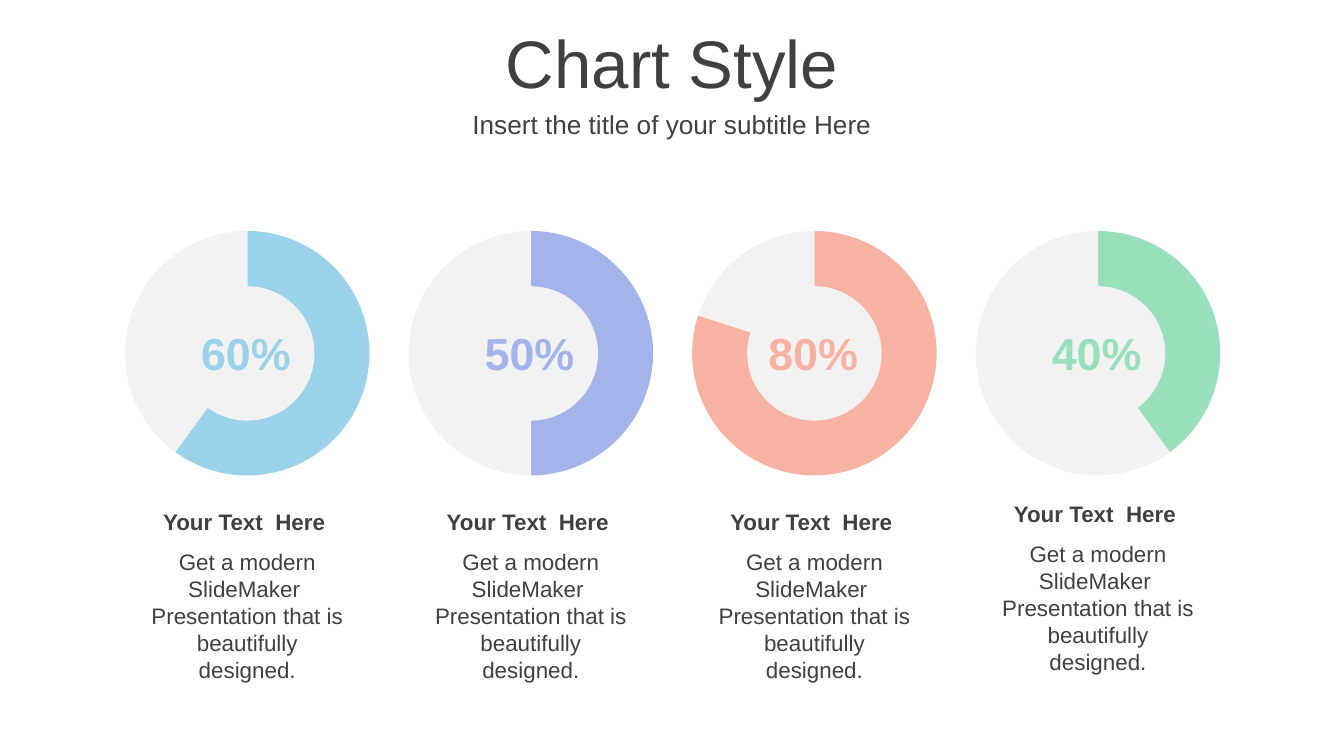
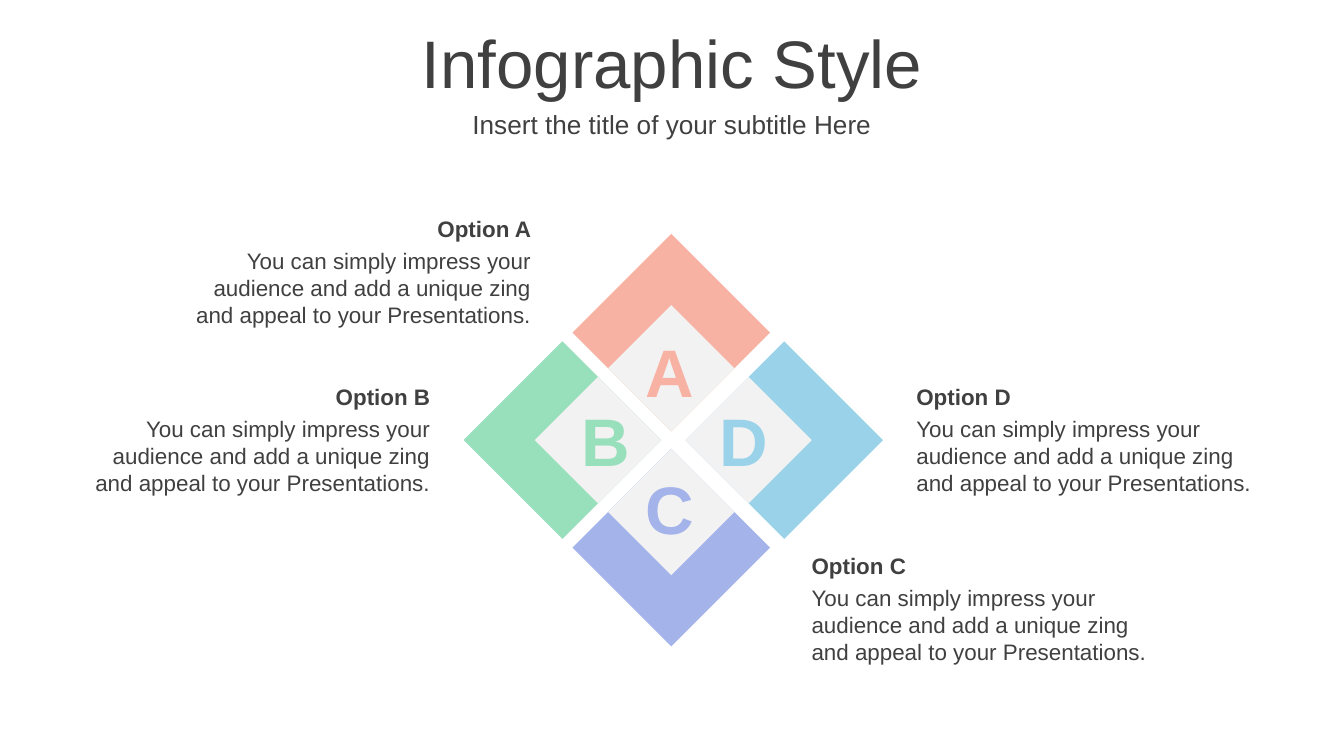
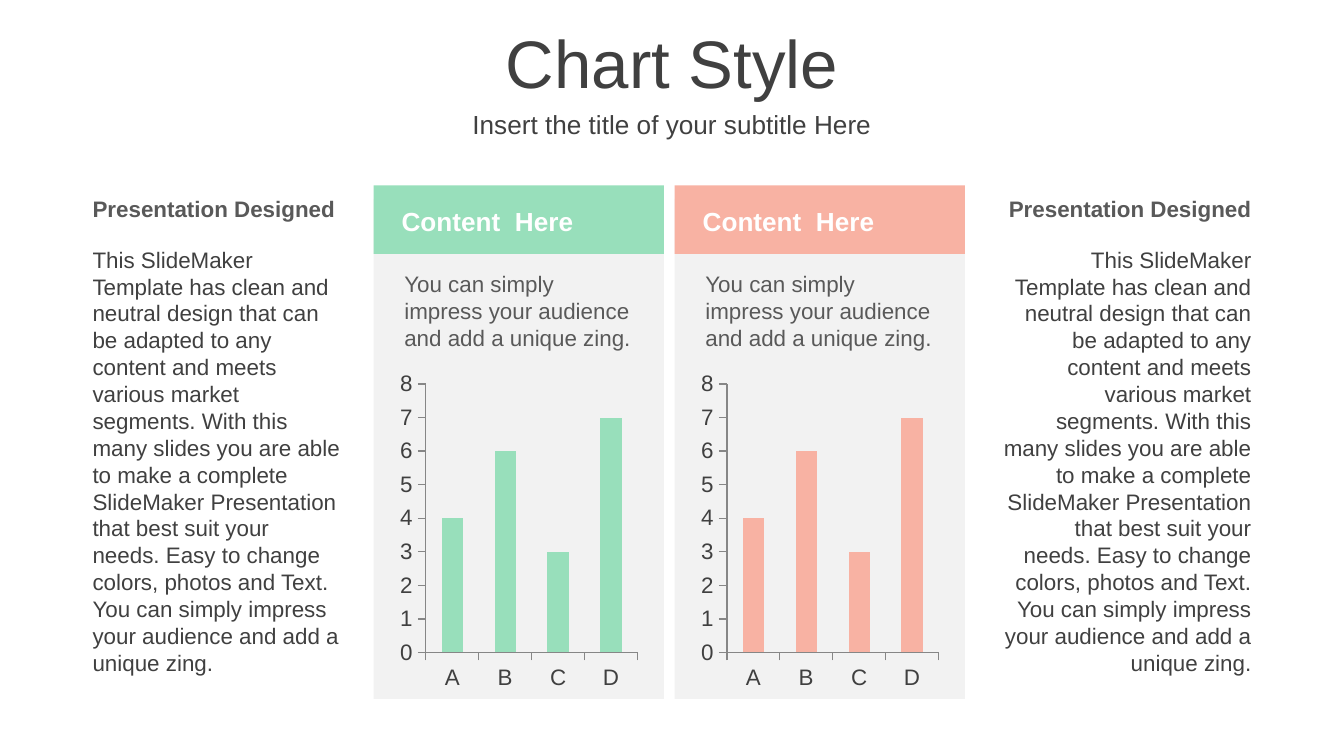
from dataclasses import dataclass

from pptx import Presentation
from pptx.chart.data import CategoryChartData
from pptx.dml.color import RGBColor
from pptx.enum import chart as ch, shapes as sh, text as tx
from pptx.oxml import parse_xml
from pptx.oxml.ns import nsdecls
from pptx.util import Inches, Pt

HUES = {
    "sky": "9AD3E9",
    "iris": "A4B4EA",
    "coral": "F8B2A3",
    "mint": "98DFBB",
    "pale": "F2F2F2",
    "ink": "404040",
    "slate": "595959",
    "axis": "868686",
    "white": "FFFFFF",
}
FONT = "Arial"
LEFT, MID, RIGHT = tx.PP_ALIGN.LEFT, tx.PP_ALIGN.CENTER, tx.PP_ALIGN.RIGHT
SUB = "Insert the title of your subtitle Here"
MODERN = "Get a modern SlideMaker  Presentation that is beautifully designed."
SIMPLY = "You can simply impress your audience and add a unique zing"
STORY = (
    "This SlideMaker Template has clean and neutral design that can be adapted "
    "to any content and meets various market segments. With this many slides you "
    "are able to make a complete SlideMaker Presentation that best suit your needs. "
    "Easy to change colors, photos and Text. " + SIMPLY + "."
)


@dataclass
class Box:
    x: float
    y: float
    w: float
    h: float

    def emu(self) -> tuple:
        return tuple(Inches(v) for v in (self.x, self.y, self.w, self.h))


@dataclass
class Style:
    size: float = 12
    hue: str = "ink"
    bold: bool = False
    align: tx.PP_ALIGN = LEFT
    lead: float = 1


@dataclass
class Ring:
    share: int
    hue: str
    note: float = 3.73


@dataclass
class Option:
    name: str
    hue: str
    dx: int
    dy: int
    gem: tuple
    mark: tuple
    note: tuple
    align: tx.PP_ALIGN


@dataclass
class Card:
    x: float
    hue: str


@dataclass
class Side:
    x: float
    align: tx.PP_ALIGN


RINGS = [
    Ring(60, "sky"),
    Ring(50, "iris"),
    Ring(80, "coral"),
    Ring(40, "mint", 3.67),
]
OPTIONS = [
    Option("A", "coral", 0, -1, (4.26, 1.74), (4.68, 2.41), (1.22, 1.55), RIGHT),
    Option("B", "mint", -1, 0, (3.45, 2.54), (4.2, 2.92), (0.47, 2.8), RIGHT),
    Option("C", "iris", 0, 1, (4.26, 3.34), (4.68, 3.43), (5.94, 4.06), LEFT),
    Option("D", "sky", 1, 0, (5.1, 2.54), (5.23, 2.92), (6.72, 2.8), LEFT),
]
CARDS = [Card(2.78, "mint"), Card(5.02, "coral")]
SIDES = [Side(0.59, LEFT), Side(7.36, RIGHT)]


def rgb(hue: str) -> RGBColor:
    return RGBColor.from_string(HUES[hue])


def write(frame, words: str, style: Style) -> None:
    para = frame.paragraphs[0]
    para.alignment = style.align
    para.line_spacing = style.lead
    run = para.add_run()
    run.text = words
    font = run.font
    font.name, font.size, font.bold = FONT, Pt(style.size), style.bold
    font.color.rgb = rgb(style.hue)


def label(home, box: Box, words: str, style: Style, anchor=tx.MSO_ANCHOR.TOP) -> None:
    frame = home.add_textbox(*box.emu()).text_frame
    frame.word_wrap = True
    frame.auto_size = tx.MSO_AUTO_SIZE.SHAPE_TO_FIT_TEXT
    frame.vertical_anchor = anchor
    write(frame, words, style)


def note(slide, box: Box, head: str, words: str, gap: float, align) -> None:
    """Group a bold heading with the text that starts gap inches below it."""
    home = slide.shapes.add_group_shape().shapes
    label(home, Box(box.x, box.y, box.w, 0.3), head, Style(bold=True, align=align))
    label(home, Box(box.x, box.y + gap, box.w, box.h), words, Style(align=align))


def solid(slide, kind, box: Box, hue: str) -> None:
    shape = slide.shapes.add_shape(kind, *box.emu())
    shape.shadow.inherit = False
    shape.fill.solid()
    shape.fill.fore_color.rgb = rgb(hue)
    shape.line.fill.background()


def start(deck, title: str):
    """Add a slide with the shared title and subtitle."""
    slide = deck.slides.add_slide(deck.slide_layouts[0])
    heads = [
        (slide.shapes.title, Box(0, 0.14, 10, 0.63), title, 36),
        (slide.placeholders[1], Box(0, 0.77, 10, 0.31), SUB, 14),
    ]
    for shape, box, words, size in heads:
        shape.left, shape.top, shape.width, shape.height = box.emu()
        frame = shape.text_frame
        frame.auto_size = tx.MSO_AUTO_SIZE.NONE
        frame.vertical_anchor = tx.MSO_ANCHOR.MIDDLE
        write(frame, words, Style(size, align=MID))
    return slide


def graph(slide, kind, box: Box, cats: list, vals: list):
    data = CategoryChartData()
    data.categories = cats
    data.add_series("Series 1", vals)
    chart = slide.shapes.add_chart(kind, *box.emu(), data).chart
    chart.has_title = chart.has_legend = False
    chart.font.name, chart.font.size = FONT, Pt(18)
    chart.plots[0].has_data_labels = False
    return chart


def paint(item, hue: str) -> None:
    item.format.fill.solid()
    item.format.fill.fore_color.rgb = rgb(hue)


def donut(slide, box: Box, ring: Ring) -> None:
    kind = ch.XL_CHART_TYPE.DOUGHNUT
    chart = graph(slide, kind, box, ["1", "2"], [ring.share, 100 - ring.share])
    for i, hue in enumerate((ring.hue, "pale")):
        paint(chart.plots[0].series[0].points[i], hue)
    root = chart.element
    root.xpath(".//c:holeSize")[0].set("val", "75")
    area = root.xpath(".//c:plotArea")[0]
    for old in area.xpath("./c:layout"):
        area.remove(old)
    area.insert(0, parse_xml(
        f'<c:layout {nsdecls("c")}><c:manualLayout><c:layoutTarget val="inner"/>'
        '<c:xMode val="edge"/><c:yMode val="edge"/><c:x val="0"/><c:y val="0.02"/>'
        '<c:w val="1"/><c:h val="0.97"/></c:manualLayout></c:layout>'
    ))


def bars(slide, box: Box, hue: str) -> None:
    kind = ch.XL_CHART_TYPE.COLUMN_STACKED
    chart = graph(slide, kind, box, list("ABCD"), [4, 6, 3, 7])
    plot = chart.plots[0]
    plot.gap_width, plot.overlap, plot.vary_by_categories = 150, 100, False
    paint(plot.series[0], hue)
    for axis in (chart.category_axis, chart.value_axis):
        axis.has_major_gridlines = False
        axis.major_tick_mark = ch.XL_TICK_MARK.OUTSIDE
        axis.minor_tick_mark = ch.XL_TICK_MARK.NONE
        axis.format.line.color.rgb = rgb("axis")
        font = axis.tick_labels.font
        font.name, font.size = FONT, Pt(12)
        font.color.rgb = rgb("ink")
    scale = chart.value_axis
    scale.minimum_scale, scale.maximum_scale, scale.major_unit = 0, 8, 1


def shares(deck) -> None:
    slide = start(deck, "Chart Style")
    for i, ring in enumerate(RINGS):
        x = 0.93 + 2.11 * i
        donut(slide, Box(x, 1.68, 1.82, 1.88), ring)
        solid(slide, sh.MSO_SHAPE.OVAL, Box(x + 0.41, 2.13, 1, 1), "pale")
        label(slide.shapes, Box(x + 0.39, 2.37, 1.02, 0.5), f"{ring.share}%",
              Style(24, ring.hue, True, MID), tx.MSO_ANCHOR.MIDDLE)
        note(slide, Box(x + 0.07, ring.note, 1.68, 0.91), "Your Text  Here ",
             MODERN, 0.3, MID)


def choices(deck) -> None:
    slide = start(deck, "Infographic Style")
    big, small = 1.47, 0.94
    half = (big - small) / 2
    gem = sh.MSO_SHAPE.DIAMOND
    for opt in OPTIONS:
        x, y = opt.gem
        solid(slide, gem, Box(x, y, big, big), opt.hue)
        inner = Box(x + half * (1 - opt.dx), y + half * (1 - opt.dy), small, small)
        solid(slide, gem, inner, "pale")
        label(slide.shapes, Box(*opt.mark, 0.61, 0.71), opt.name,
              Style(36, opt.hue, True, MID))
        note(slide, Box(*opt.note, 2.83, 0.71), f"Option {opt.name}",
             SIMPLY + " and appeal to your Presentations.", 0.24, opt.align)


def columns(deck) -> None:
    slide = start(deck, "Chart Style")
    home = slide.shapes
    rect = sh.MSO_SHAPE.RECTANGLE
    for card in CARDS:
        x = card.x
        solid(slide, rect, Box(x, 1.48, 2.16, 3.72), "pale")
        solid(slide, rect, Box(x, 1.38, 2.16, 0.51), card.hue)
        label(home, Box(x + 0.13, 1.96, 1.91, 0.71), SIMPLY + ".", Style(hue="slate"))
        label(home, Box(x + 0.11, 1.48, 1.94, 0.34), "Content  Here",
              Style(14, "white", True))
        bars(slide, Box(x + 0.16, 2.72, 1.84, 2.46), card.hue)
    for side in SIDES:
        label(home, Box(side.x, 1.38, 2.05, 0.32), "Presentation Designed",
              Style(12, "slate", True, side.align, 1.1))
        label(home, Box(side.x, 1.78, 2.05, 3.33), STORY, Style(align=side.align))


def main() -> None:
    deck = Presentation()
    deck.slide_width = Inches(10)
    deck.slide_height = Inches(10) * 9 // 16
    for build in (shares, choices, columns):
        build(deck)
    deck.save("out.pptx")


if __name__ == "__main__":
    main()
